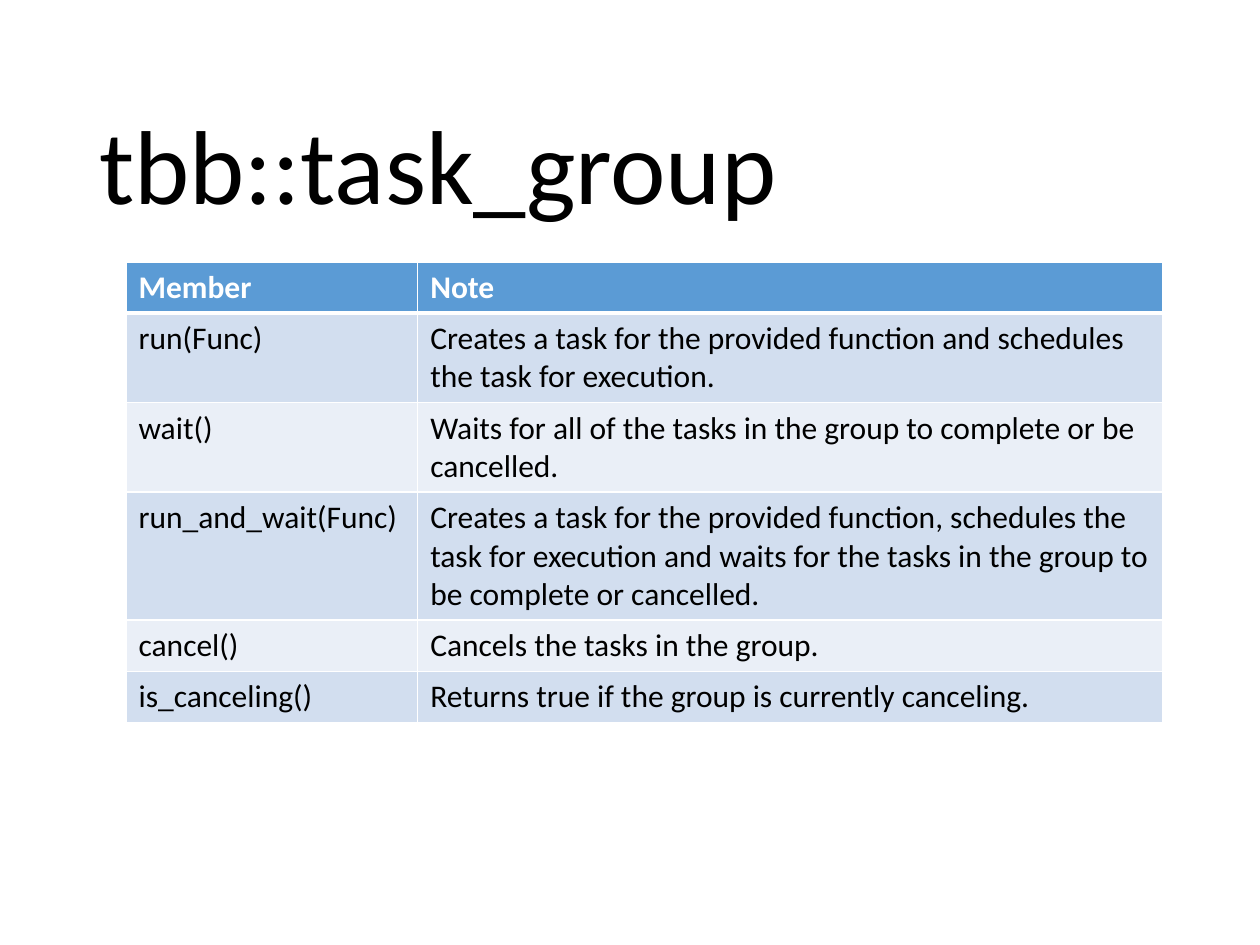
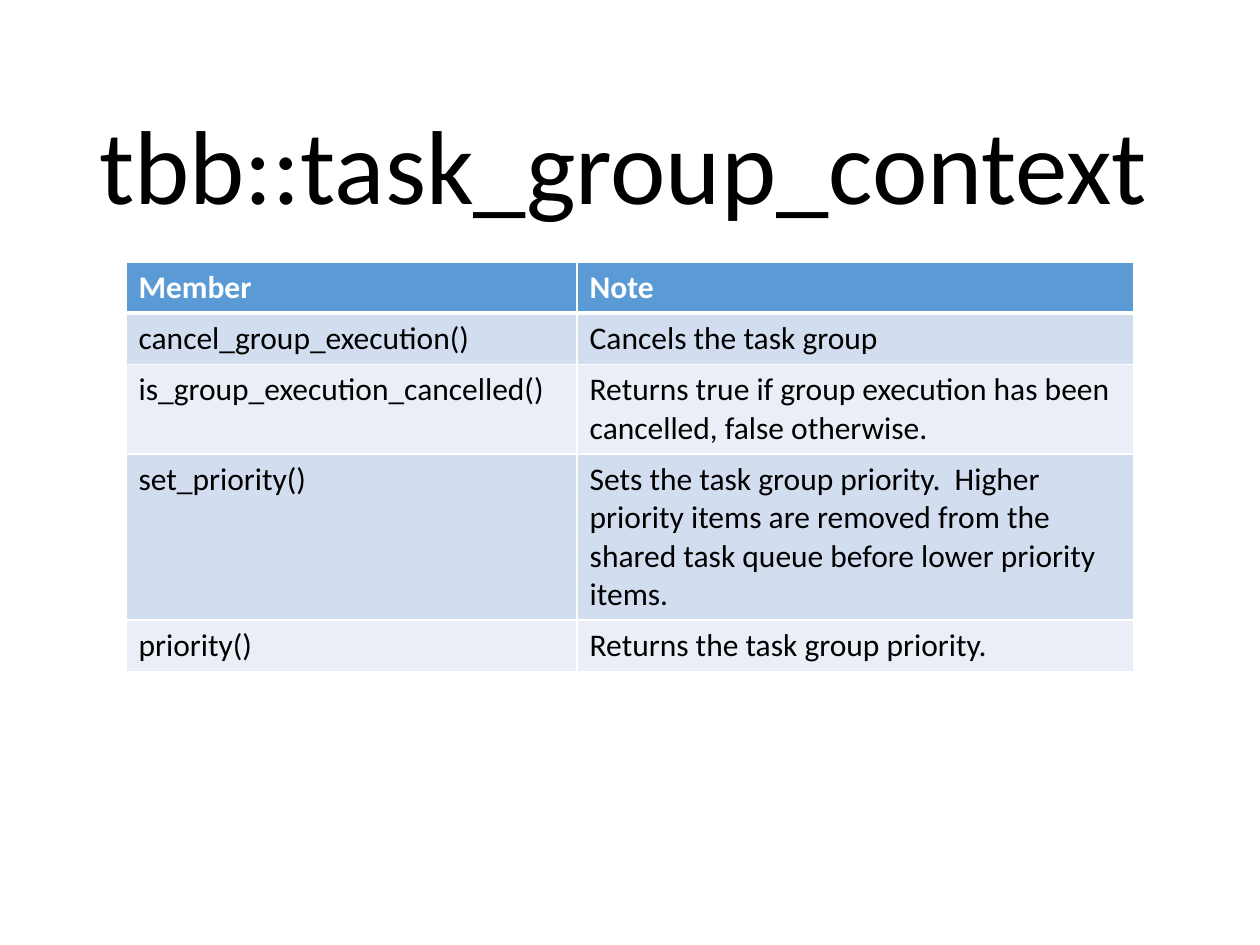
from lxml import etree
from pptx import Presentation
from pptx.dml.color import RGBColor
from pptx.enum.text import MSO_ANCHOR, MSO_AUTO_SIZE, PP_ALIGN
from pptx.oxml.ns import qn
from pptx.util import Pt

BOTTOM, LEFT, NO_FIT = MSO_ANCHOR.BOTTOM, PP_ALIGN.LEFT, MSO_AUTO_SIZE.NONE

FONT = "Calibri"
COLORS = {"header": "5B9BD5", "odd": "D2DEEF", "even": "EAEFF7",
          "line": "FFFFFF", "header_text": "FFFFFF", "text": "000000"}
TITLE_BOX = (49.68, 28.8, 620.64, 104.4)
TABLE_LEFT, TABLE_TOP = 72, 149.76
ROW_HEIGHT, LINE_HEIGHT = 28.8, 21.6
HEADER = ("Member", "Note", 1)

# Each member: name, note, lines the note takes
SLIDES = [
    {"title": "tbb::task_group",
     "widths": (166.7, 425.9),
     "members": [
         ("run(Func)", "Creates a task for the provided function and schedules "
          "the task for execution.", 2),
         ("wait()", "Waits for all of the tasks in the group to complete or be "
          "cancelled.", 2),
         ("run_and_wait(Func)", "Creates a task for the provided function, "
          "schedules the task for execution and waits for the tasks in the "
          "group to be complete or cancelled.", 3),
         ("cancel()", "Cancels the tasks in the group.", 1),
         ("is_canceling()", "Returns true if the group is currently canceling.", 1)]},
    {"title": "tbb::task_group_context",
     "widths": (257.8, 318.2),
     "members": [
         ("cancel_group_execution()", "Cancels the task group", 1),
         ("is_group_execution_cancelled()", "Returns true if group execution "
          "has been cancelled, false otherwise.", 2),
         ("set_priority()", "Sets the task group priority.  Higher priority "
          "items are removed from the shared task queue before lower priority "
          "items.", 4),
         ("priority()", "Returns the task group priority.", 1)]},
]


def rgb(name):
    return RGBColor.from_string(COLORS[name])


def style_paragraph(p, size, color, bold=False):
    p.font.name, p.font.size, p.font.bold = FONT, Pt(size), bold
    p.font.color.rgb = rgb(color)


def set_borders(cell, top, bottom):
    """Draw all four cell borders; must run before the cell is filled."""
    tcPr = cell._tc.get_or_add_tcPr()
    for tag, width in (("a:lnL", 1), ("a:lnR", 1), ("a:lnT", top), ("a:lnB", bottom)):
        ln = etree.SubElement(tcPr, qn(tag), w=str(Pt(width)))
        fill = etree.SubElement(ln, qn("a:solidFill"))
        etree.SubElement(fill, qn("a:srgbClr"), val=COLORS["line"])


def add_title(s, text):
    title = s.shapes.title
    title.left, title.top, title.width, title.height = map(Pt, TITLE_BOX)
    tf = title.text_frame
    tf.text = text
    tf.word_wrap, tf.auto_size, tf.vertical_anchor = True, NO_FIT, BOTTOM
    p = tf.paragraphs[0]
    p.alignment, p.line_spacing = LEFT, 0.9
    style_paragraph(p, 60, "text")


def add_member_table(s, widths, members):
    rows = [HEADER, *members]
    heights = [ROW_HEIGHT + LINE_HEIGHT * (lines - 1) for _, _, lines in rows]
    table = s.shapes.add_table(len(rows), len(widths), Pt(TABLE_LEFT), Pt(TABLE_TOP),
                               Pt(sum(widths)), Pt(sum(heights))).table
    for column, width in zip(table.columns, widths):
        column.width = Pt(width)
    for i, (name, note, _) in enumerate(rows):
        table.rows[i].height = Pt(heights[i])
        is_header = i == 0
        fill = "header" if is_header else "odd" if i % 2 else "even"
        for cell, text in zip(table.rows[i].cells, (name, note)):
            cell.text = text
            set_borders(cell, top=3 if i == 1 else 1, bottom=3 if is_header else 1)
            cell.fill.solid()
            cell.fill.fore_color.rgb = rgb(fill)
            style_paragraph(cell.text_frame.paragraphs[0], 18,
                            "header_text" if is_header else "text", is_header)


def main():
    prs = Presentation()
    prs.slide_width, prs.slide_height = Pt(720), Pt(540)
    title_only = prs.slide_layouts[5]
    for content in SLIDES:
        s = prs.slides.add_slide(title_only)
        add_title(s, content["title"])
        add_member_table(s, content["widths"], content["members"])
    prs.save("out.pptx")


if __name__ == "__main__":
    main()
